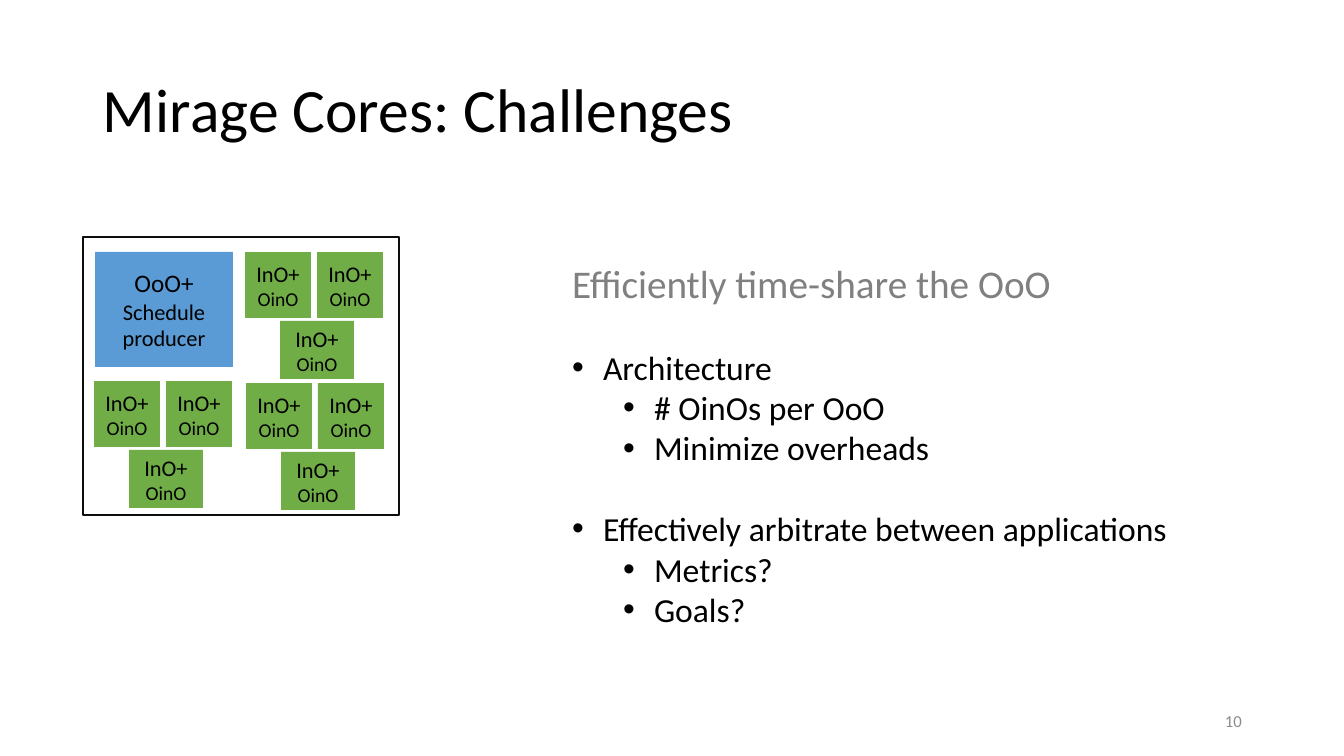
"""Build the Mirage Cores challenges slide."""
from typing import Any, NamedTuple

from lxml import etree
from pptx import Presentation
from pptx.dml.color import RGBColor
from pptx.enum.shapes import MSO_SHAPE
from pptx.enum.text import MSO_ANCHOR, MSO_AUTO_SIZE, PP_ALIGN
from pptx.oxml.ns import qn
from pptx.util import Pt

RECT = MSO_SHAPE.RECTANGLE
MIDDLE, TOP = MSO_ANCHOR.MIDDLE, MSO_ANCHOR.TOP
LEFT, CENTER, RIGHT = PP_ALIGN.LEFT, PP_ALIGN.CENTER, PP_ALIGN.RIGHT
FIXED = MSO_AUTO_SIZE.NONE
SCALE = 914400 / 100.8
TITLE_ONLY = 5
FONT = "Calibri"
BLACK, GRAY, PALE = "000000", "808080", "8C8C8C"
GREEN, BLUE, EDGE = "70AD47", "5B9BD5", "0D0D0D"
HANG = 31


class Box(NamedTuple):
    """A rectangle in pixels."""
    left: int
    top: int
    width: int
    height: int


class Line(NamedTuple):
    """One paragraph: text, size, colour, bullet indent and space above."""
    text: str
    size: int
    color: str = BLACK
    indent: int = 0
    gap: int = 0


CLUSTERS = [(245, 252), (246, 383), (94, 381)]
CORES = [Box(0, 0, 66, 66), Box(72, 0, 66, 66), Box(35, 69, 74, 58)]
CORE_TEXT = [Line("InO+", 16), Line("OinO", 14)]
LEAD_TEXT = [Line("OoO+", 18), Line("Schedule producer", 16)]
POINTS = [
    Line("Efficiently time-share the OoO", 28, GRAY),
    Line("Architecture", 24, indent=31, gap=29),
    Line("# OinOs per OoO", 24, indent=82),
    Line("Minimize overheads", 24, indent=82),
    Line("Effectively arbitrate between applications", 24, indent=31, gap=29),
    Line("Metrics?", 24, indent=82),
    Line("Goals?", 24, indent=82),
]


def emu(px: float) -> int:
    """Turn pixels into EMU."""
    return round(px * SCALE)


def rgb(code: str) -> RGBColor:
    """Turn a hex string into a colour."""
    return RGBColor.from_string(code)


def style(item: Any, values: dict[str, Any]) -> None:
    """Set each attribute named in the dict."""
    for name, value in values.items():
        setattr(item, name, value)


def place(box: Box) -> list[int]:
    """Give the box as EMU lengths."""
    return [emu(px) for px in box]


def bullet(para: Any, indent: int) -> None:
    """Hang a round bullet on the paragraph."""
    props = para._p.get_or_add_pPr()
    props.set("marL", str(emu(indent)))
    props.set("indent", str(-emu(HANG)))
    etree.SubElement(props, qn("a:buFont")).set("typeface", "Arial")
    etree.SubElement(props, qn("a:buChar")).set("char", "•")


def write(shape: Any, lines: list[Line], align: Any = LEFT,
          anchor: Any = MIDDLE, inset: int = 10) -> None:
    """Fill the shape with formatted paragraphs."""
    frame = shape.text_frame
    style(frame, {"word_wrap": True, "auto_size": FIXED,
                  "vertical_anchor": anchor,
                  "margin_left": emu(inset), "margin_right": emu(inset),
                  "margin_top": emu(5), "margin_bottom": emu(5)})
    for num, line in enumerate(lines):
        para = frame.add_paragraph() if num else frame.paragraphs[0]
        style(para, {"alignment": align, "space_before": Pt(line.gap)})
        if line.indent:
            para.level = int(line.indent > HANG)
            bullet(para, line.indent)
        run = para.add_run()
        run.text = line.text
        style(run.font, {"name": FONT, "size": Pt(line.size)})
        run.font.color.rgb = rgb(line.color)


def block(shapes: Any, box: Box, fill: str = "") -> Any:
    """Draw a filled rectangle, or an outlined one without a fill."""
    shape = shapes.add_shape(RECT, *place(box))
    shape.shadow.inherit = False
    if fill:
        shape.fill.solid()
        shape.fill.fore_color.rgb = rgb(fill)
        shape.line.fill.background()
    else:
        shape.fill.background()
        shape.line.color.rgb = rgb(EDGE)
        shape.line.width = Pt(1)
    return shape


def cluster(shapes: Any, left: int, top: int) -> None:
    """Draw a group of three small cores."""
    group = shapes.add_group_shape()
    for core in CORES:
        box = core._replace(left=left + core.left, top=top + core.top)
        write(block(group.shapes, box, GREEN), CORE_TEXT, CENTER, inset=2)


def main() -> None:
    """Build and save the slide."""
    deck = Presentation()
    style(deck, {"slide_width": emu(1344), "slide_height": emu(756)})
    slide = deck.slides.add_slide(deck.slide_layouts[TITLE_ONLY])
    shapes = slide.shapes
    title = shapes.title
    names = ("left", "top", "width", "height")
    style(title, dict(zip(names, place(Box(93, 40, 1159, 146)))))
    write(title, [Line("Mirage Cores: Challenges", 44)])
    title.text_frame.paragraphs[0].line_spacing = 0.9
    number = shapes.add_textbox(*place(Box(950, 701, 302, 40)))
    write(number, [Line("10", 12, PALE)], RIGHT)
    points = shapes.add_textbox(*place(Box(562, 254, 640, 383)))
    write(points, POINTS, anchor=TOP)
    block(shapes, Box(83, 237, 316, 278))
    for left, top in CLUSTERS:
        cluster(shapes, left, top)
    write(block(shapes, Box(95, 252, 138, 115), BLUE), LEAD_TEXT, CENTER)
    deck.save("out.pptx")


main()
